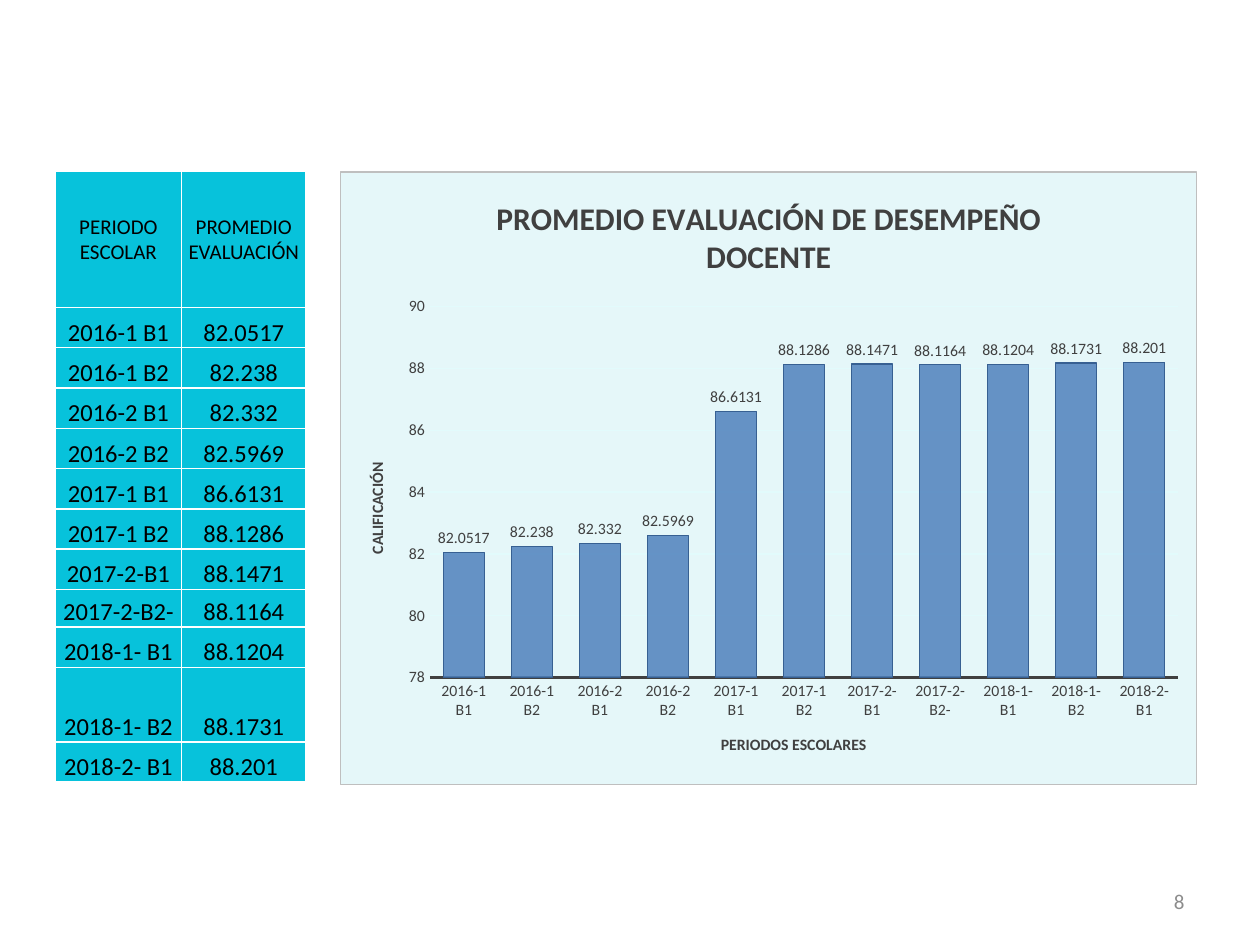
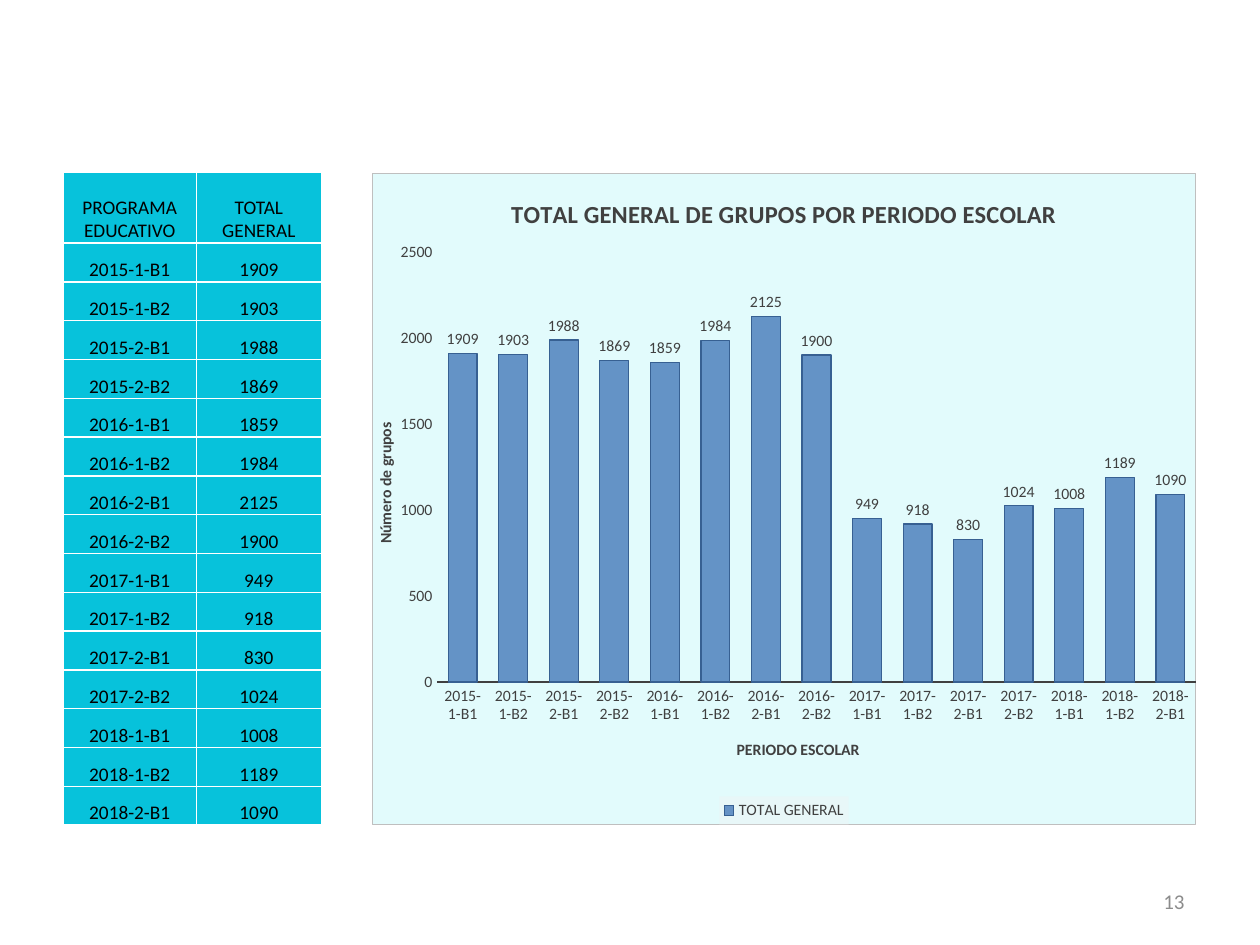
from lxml import etree
from pptx import Presentation
from pptx.chart.data import CategoryChartData
from pptx.dml.color import RGBColor
from pptx.enum.chart import XL_CHART_TYPE as CT, XL_LABEL_POSITION as LP
from pptx.enum.chart import XL_LEGEND_POSITION as LEG, XL_TICK_MARK as TM
from pptx.enum.text import MSO_ANCHOR as MA, PP_ALIGN as AL
from pptx.oxml import parse_xml
from pptx.oxml.ns import nsdecls, qn
from pptx.util import Inches, Pt

FONT = "Calibri"
BLACK = RGBColor(0x00, 0x00, 0x00)
DARK = RGBColor(0x40, 0x40, 0x40)
GREY = RGBColor(0x8C, 0x8C, 0x8C)
WHITE = RGBColor(0xFF, 0xFF, 0xFF)
CYAN = RGBColor(0x07, 0xC2, 0xDB)
PALE = RGBColor(0xE2, 0xFB, 0xFC)
MIST = RGBColor(0xE5, 0xF7, 0xF9)
BORDER = RGBColor(0xBF, 0xBF, 0xBF)
PANEL = RGBColor(0xF2, 0xF2, 0xF2)
BAR = RGBColor(0x4F, 0x81, 0xBD)
BAR_EDGE = RGBColor(0x37, 0x60, 0x92)

SLIDES = [
    dict(
        number="8",
        header=("PERIODO ESCOLAR", "PROMEDIO EVALUACIÓN"),
        rows=[("2016-1 B1", 82.0517), ("2016-1 B2", 82.238),
              ("2016-2 B1", 82.332), ("2016-2 B2", 82.5969),
              ("2017-1 B1", 86.6131), ("2017-1 B2", 88.1286),
              ("2017-2-B1", 88.1471), ("2017-2-B2-", 88.1164),
              ("2018-1- B1", 88.1204), ("2018-1- B2", 88.1731),
              ("2018-2- B1", 88.201)],
        table=dict(at=(0.44, 1.36), widths=(1, 0.99), head=1.08, row=0.32,
                   special={8: 0.3, 10: 0.59}, head_size=12, size=14,
                   head_anchor=MA.MIDDLE),
        chart=dict(at=(2.7, 1.36, 6.8, 4.87), fill=MIST, gap=65,
                   title="PROMEDIO EVALUACIÓN DE DESEMPEÑO DOCENTE",
                   title_size=18, x_title="PERIODOS ESCOLARES",
                   y_title="CALIFICACIÓN", scale=(78, 90, 2), grid=True,
                   plot=(0.104, 0.22, 0.875, 0.606),
                   series="Series 1", legend=False),
    ),
    dict(
        number="13",
        header=("PROGRAMA EDUCATIVO", "TOTAL GENERAL"),
        rows=[("2015-1-B1", 1909), ("2015-1-B2", 1903), ("2015-2-B1", 1988),
              ("2015-2-B2", 1869), ("2016-1-B1", 1859), ("2016-1-B2", 1984),
              ("2016-2-B1", 2125), ("2016-2-B2", 1900), ("2017-1-B1", 949),
              ("2017-1-B2", 918), ("2017-2-B1", 830), ("2017-2-B2", 1024),
              ("2018-1-B1", 1008), ("2018-1-B2", 1189), ("2018-2-B1", 1090)],
        table=dict(at=(0.5, 1.37), widths=(1.06, 0.99), head=0.56, row=0.308,
                   special={}, head_size=11, size=11, head_anchor=MA.BOTTOM),
        chart=dict(at=(2.95, 1.37, 6.55, 5.18), fill=PALE, gap=75,
                   title="TOTAL GENERAL DE GRUPOS POR PERIODO ESCOLAR",
                   title_size=14, x_title="PERIODO ESCOLAR",
                   y_title="Número de grupos", scale=(0, 2500, 500),
                   grid=False, plot=(0.079, 0.121, 0.921, 0.66),
                   series="TOTAL GENERAL", legend=True),
    ),
]


def style_font(font, size, color=DARK, bold=False):
    """Set family, size, colour and weight of a font."""
    font.name, font.size, font.bold = FONT, Pt(size), bold
    font.color.rgb = color


def put_text(tf, text, size=9, color=DARK, bold=False, align=AL.CENTER):
    """Write one formatted paragraph into a text frame."""
    p = tf.paragraphs[0]
    p.alignment = align
    r = p.add_run()
    r.text = text
    style_font(r.font, size, color, bold)


def add_number(s, text):
    """Add the slide number at the bottom right."""
    tf = s.shapes.add_textbox(Inches(7.17), Inches(6.95),
                              Inches(2.33), Inches(0.4)).text_frame
    tf.word_wrap, tf.vertical_anchor = True, MA.MIDDLE
    put_text(tf, text, size=12, color=GREY, align=AL.RIGHT)


def set_borders(cell):
    """Give a cell thin white borders, placed ahead of its fill."""
    tcPr = cell._tc.get_or_add_tcPr()
    for i, side in enumerate(("lnL", "lnR", "lnT", "lnB")):
        tcPr.insert(i, parse_xml(
            f'<a:{side} {nsdecls("a")} w="12700"><a:solidFill>'
            f'<a:srgbClr val="{WHITE}"/></a:solidFill></a:{side}>'))


def add_data_table(s, header, rows, at, widths, head, row, special,
                   head_size, size, head_anchor):
    """Add the two-column table of periods and values."""
    heights = [head] + [special.get(i, row) for i in range(1, len(rows) + 1)]
    x, y = at
    tbl = s.shapes.add_table(len(heights), 2, Inches(x), Inches(y),
                             Inches(sum(widths)), Inches(sum(heights))).table
    tbl.first_row = tbl.horz_banding = False
    for col, w in zip(tbl.columns, widths):
        col.width = Inches(w)
    for i, values in enumerate([header] + rows):
        tbl.rows[i].height = Inches(heights[i])
        for j, value in enumerate(values):
            cell = tbl.cell(i, j)
            cell.margin_left = cell.margin_right = Inches(0.01)
            cell.margin_top, cell.margin_bottom = Inches(0.01), 0
            cell.vertical_anchor = MA.BOTTOM if i else head_anchor
            cell.fill.solid()
            cell.fill.fore_color.rgb = CYAN
            set_borders(cell)
            put_text(cell.text_frame, str(value), color=BLACK,
                     size=size if i else head_size)


def area_xml(color, alpha=100, line=None):
    """Return chart shape properties with a fill and an optional outline."""
    outline = (f'<a:ln w="9525"><a:solidFill><a:srgbClr val="{line}"/>'
               '</a:solidFill></a:ln>' if line else '<a:ln><a:noFill/></a:ln>')
    return parse_xml(
        f'<c:spPr {nsdecls("c", "a")}><a:solidFill><a:srgbClr val="{color}">'
        f'<a:alpha val="{alpha * 1000}"/></a:srgbClr></a:solidFill>'
        f'{outline}</c:spPr>')


def set_plot_layout(chart, box):
    """Fix the inner plot area as fractions of the chart."""
    area = chart.element.find(".//" + qn("c:plotArea"))
    for old in area.findall(qn("c:layout")):
        area.remove(old)
    layout = parse_xml(f'<c:layout {nsdecls("c")}><c:manualLayout/></c:layout>')
    parts = [("layoutTarget", "inner"), ("xMode", "edge"), ("yMode", "edge")]
    for tag, val in parts + list(zip("xywh", box)):
        etree.SubElement(layout[0], qn("c:" + tag)).set("val", str(val))
    area.insert(0, layout)


def style_axis(axis, title):
    """Apply the shared label style and title to an axis."""
    axis.major_tick_mark = axis.minor_tick_mark = TM.NONE
    style_font(axis.tick_labels.font, 9)
    put_text(axis.axis_title.text_frame, title, bold=True)


def add_bars(s, rows, at, fill, gap, title, title_size, x_title, y_title,
             scale, grid, plot, series, legend):
    """Add the column chart on its tinted panel."""
    data = CategoryChartData()
    data.categories = [name for name, _ in rows]
    data.add_series(series, [value for _, value in rows])
    chart = s.shapes.add_chart(CT.COLUMN_CLUSTERED, *map(Inches, at),
                               data).chart
    style_font(chart.font, 10, BLACK)
    put_text(chart.chart_title.text_frame, title, size=title_size, bold=True)
    chart.chart_title.include_in_layout = False
    chart.element.find(qn("c:chart")).addnext(area_xml(fill, line=BORDER))
    set_plot_layout(chart, plot)

    x_axis, y_axis = chart.category_axis, chart.value_axis
    style_axis(x_axis, x_title)
    x_axis.format.line.color.rgb = DARK
    x_axis.format.line.width = Pt(1.5)
    style_axis(y_axis, y_title)
    body = y_axis.axis_title.element.find(".//" + qn("a:bodyPr"))
    body.set("rot", "-5400000")
    body.set("vert", "horz")
    y_axis.format.line.fill.background()
    y_axis.minimum_scale, y_axis.maximum_scale, y_axis.major_unit = scale
    y_axis.has_major_gridlines = grid
    if grid:
        line = y_axis.major_gridlines.format.line
        line.color.rgb, line.width = PALE, Pt(0.75)

    bars = chart.plots[0]
    bars.gap_width, bars.vary_by_categories = gap, False
    fmt = bars.series[0].format
    fmt.fill.solid()
    fmt.fill.fore_color.rgb = BAR
    fmt.line.color.rgb, fmt.line.width = BAR_EDGE, Pt(0.75)
    color = chart.element.xpath(".//c:ser/c:spPr/a:solidFill/a:srgbClr")[0]
    etree.SubElement(color, qn("a:alpha")).set("val", "85000")
    bars.has_data_labels = True
    labels = bars.data_labels
    labels.show_value, labels.position = True, LP.OUTSIDE_END
    style_font(labels.font, 9)

    chart.has_legend = legend
    if legend:
        chart.legend.position = LEG.BOTTOM
        chart.legend.include_in_layout = False
        style_font(chart.legend.font, 9)
        overlay = chart.element.find(f".//{qn('c:legend')}/{qn('c:overlay')}")
        overlay.addnext(area_xml(PANEL, alpha=39))


prs = Presentation()
prs.slide_width, prs.slide_height = Inches(10), Inches(7.5)
for content in SLIDES:
    s = prs.slides.add_slide(prs.slide_layouts[6])
    add_number(s, content["number"])
    add_data_table(s, content["header"], content["rows"], **content["table"])
    add_bars(s, content["rows"], **content["chart"])
prs.save("out.pptx")
